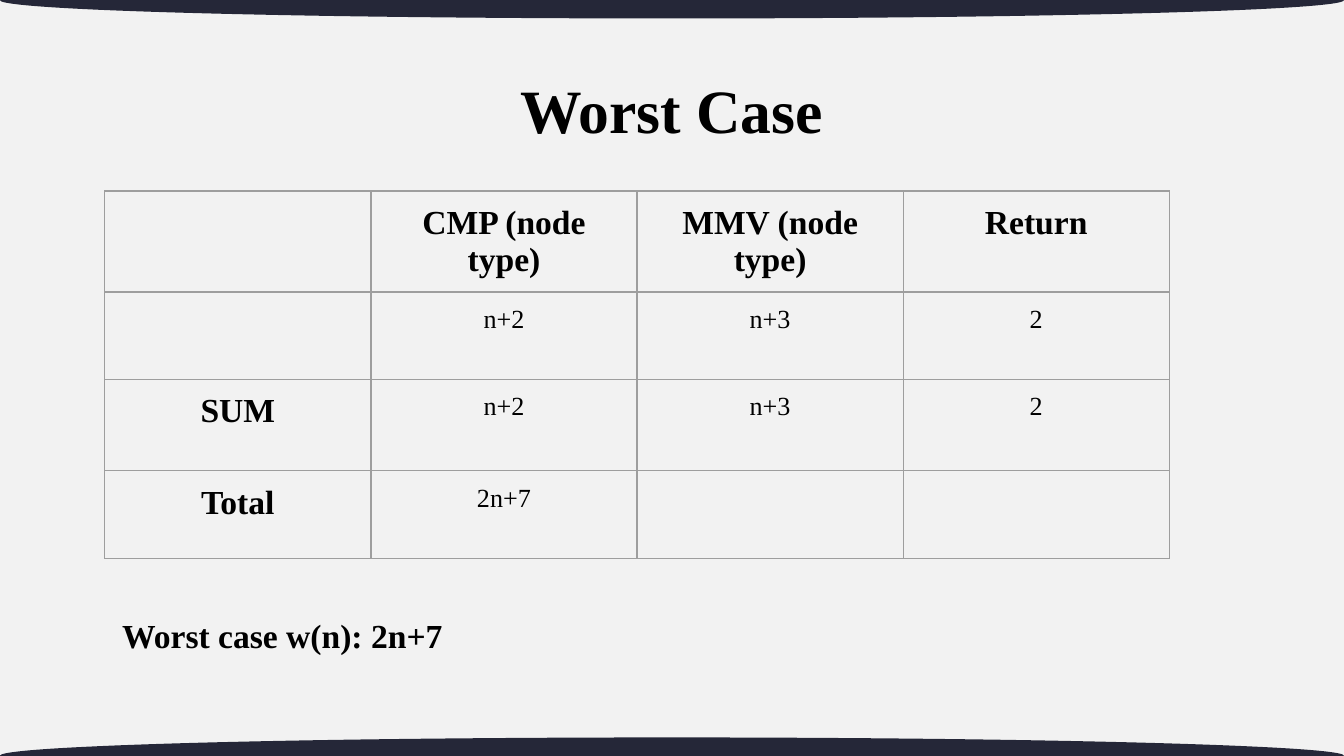
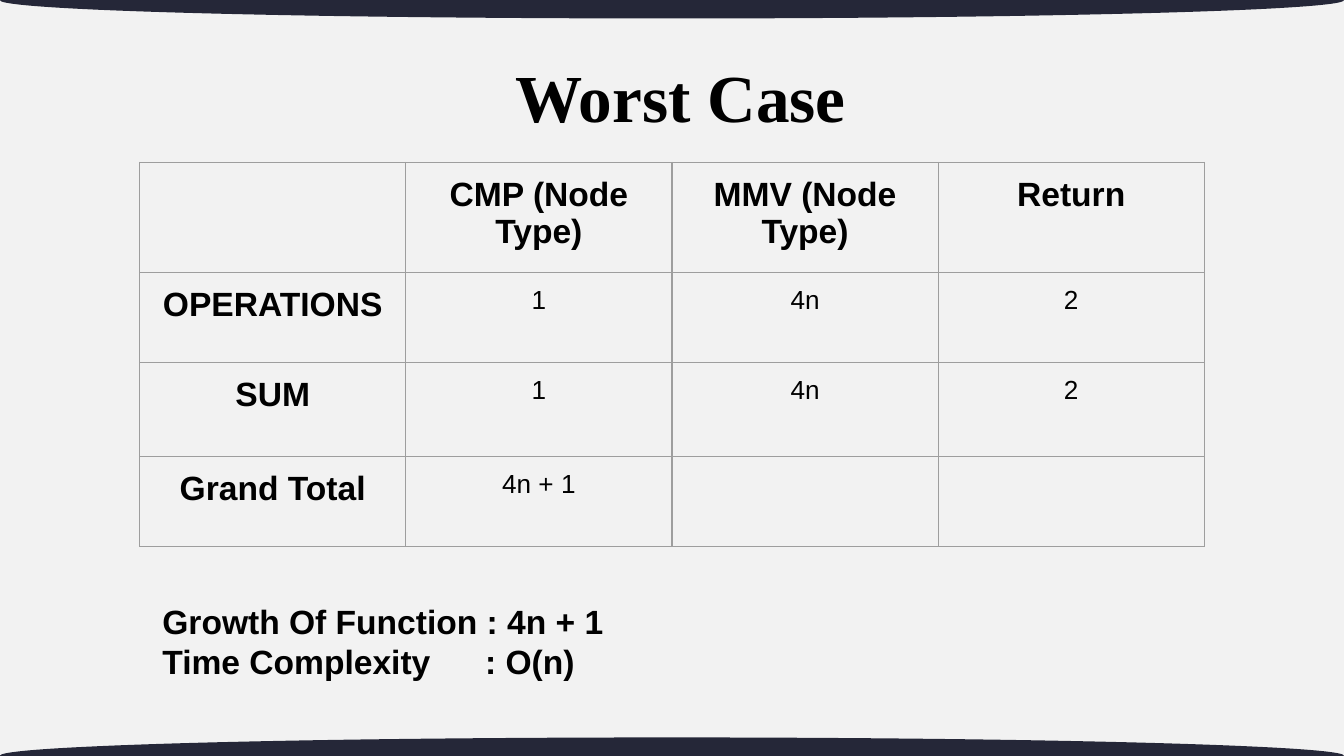
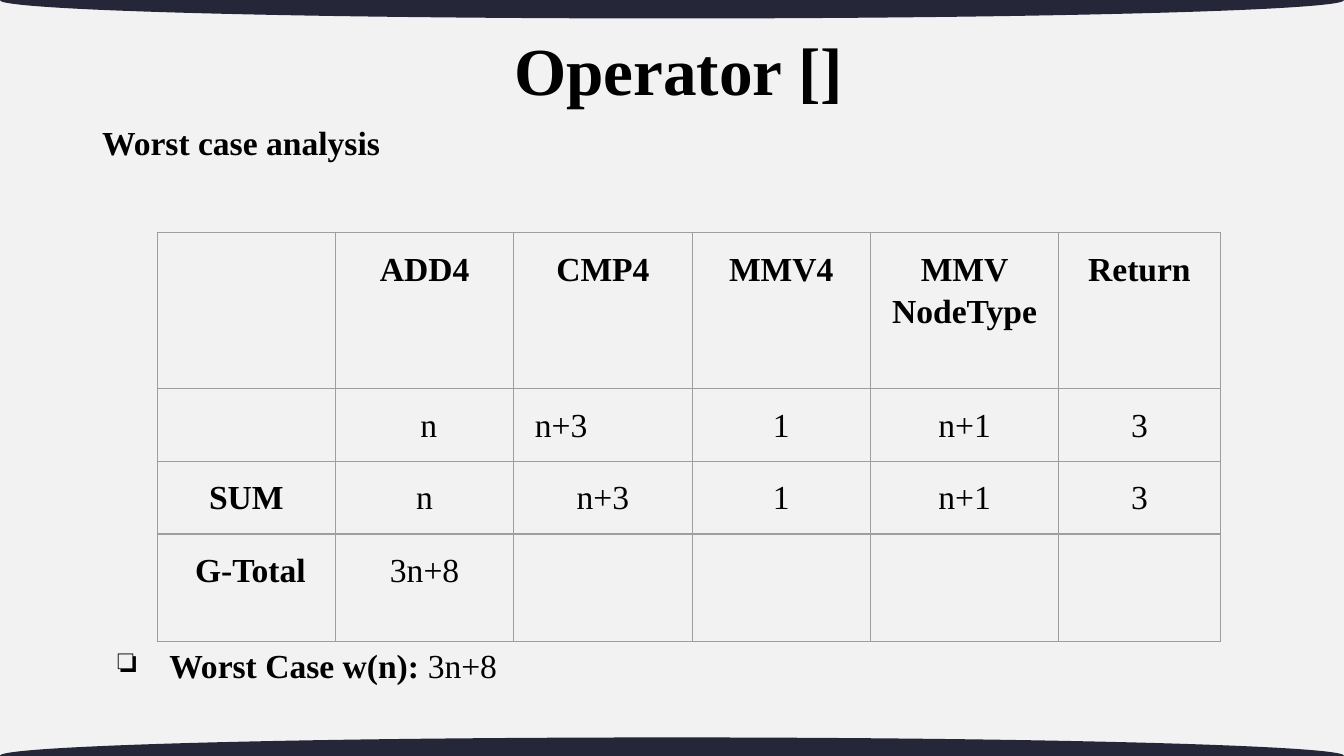
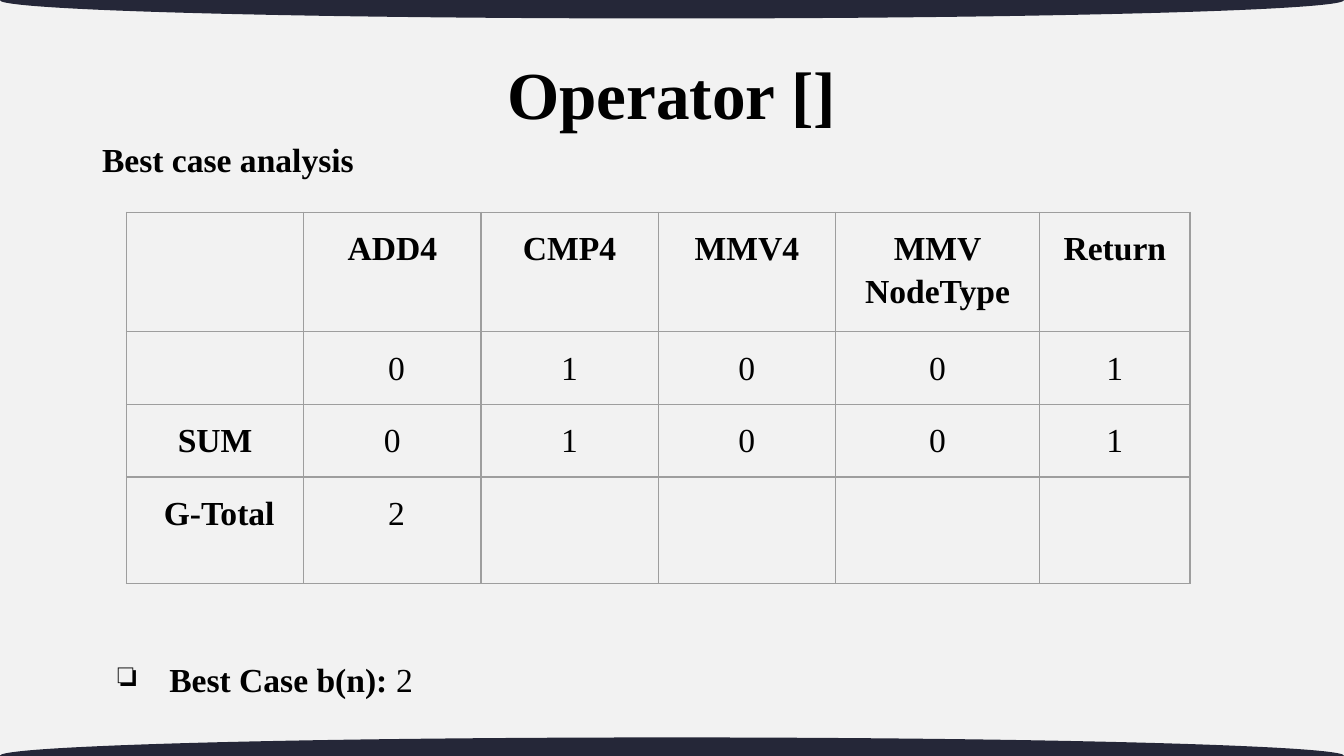
from lxml import etree
from pptx import Presentation
from pptx.dml.color import RGBColor
from pptx.enum.shapes import MSO_SHAPE
from pptx.enum.text import MSO_ANCHOR, MSO_AUTO_SIZE, PP_ALIGN
from pptx.oxml.ns import qn
from pptx.util import Cm, Pt

WIDTH, HEIGHT = 25.4, 14.29
SERIF, SANS = "Times New Roman", "Arial"
PAPER, NAVY, INK, GRID = "F2F2F2", "252738", "000000", "9E9E9E"


def color(code):
    return RGBColor.from_string(code)


def style(para, size, bold=True, font=SERIF, align=PP_ALIGN.LEFT, space=1.0):
    para.alignment = align
    para.line_spacing = space
    for run in para.runs:
        run.font.name = font
        run.font.size = Pt(size)
        run.font.bold = bold
        run.font.color.rgb = color(INK)


def inset(frame, gap):
    frame.margin_left = frame.margin_right = Cm(gap)
    frame.margin_top = frame.margin_bottom = Cm(gap)


def border(cell):
    props = cell._tc.get_or_add_tcPr()
    for index, side in enumerate(("lnL", "lnR", "lnT", "lnB")):
        line = etree.Element(qn(f"a:{side}"), w=str(Pt(0.75)))
        fill = etree.SubElement(line, qn("a:solidFill"))
        etree.SubElement(fill, qn("a:srgbClr"), val=GRID)
        props.insert(index, line)


class Deck:
    def __init__(self):
        self.show = Presentation()
        self.show.slide_width = Cm(WIDTH)
        self.show.slide_height = Cm(HEIGHT)
        fill = self.show.slide_master.background.fill
        fill.solid()
        fill.fore_color.rgb = color(PAPER)

    def start(self, title, box, size=36):
        """Add a slide with its bands and title."""
        self.slide = self.show.slides.add_slide(self.show.slide_layouts[5])
        for top in (-0.34, 13.94):
            self.band(top)
        head = self.slide.shapes.title
        head.left, head.top, head.width, head.height = map(Cm, box)
        frame = head.text_frame
        frame.text = title
        frame.auto_size = MSO_AUTO_SIZE.NONE
        frame.vertical_anchor = MSO_ANCHOR.MIDDLE
        inset(frame, 0.18)
        style(frame.paragraphs[0], size, align=PP_ALIGN.CENTER, space=0.9)

    def band(self, top):
        oval = self.slide.shapes.add_shape(
            MSO_SHAPE.OVAL, 0, Cm(top), Cm(WIDTH), Cm(0.69))
        oval.shadow.inherit = False
        oval.fill.solid()
        oval.fill.fore_color.rgb = color(NAVY)
        oval.line.fill.background()

    def text(self, words, box, gap=0.25, font=SERIF, space=1.0):
        frame = self.slide.shapes.add_textbox(*map(Cm, box)).text_frame
        frame.word_wrap = True
        inset(frame, gap)
        frame.text = words
        for para in frame.paragraphs:
            style(para, 18, font=font, space=space)
        return frame

    def heading(self, words, top):
        self.text(words, (1.75, top, 21.89, 1.1), gap=0.18, space=0.9)

    def bullet(self, label, value, top):
        """Add a boxed bullet with a bold label and a plain value."""
        frame = self.text(label, (1.75, top, 21.89, 1.1), gap=0.18)
        para = frame.paragraphs[0]
        para.add_run().text = value
        style(para, 18)
        para.runs[1].font.bold = False
        props = para._p.get_or_add_pPr()
        props.set("marL", str(Cm(1.27)))
        props.set("indent", str(Cm(-0.97)))
        tint = etree.SubElement(props, qn("a:buClr"))
        etree.SubElement(tint, qn("a:srgbClr"), val=INK)
        etree.SubElement(props, qn("a:buChar"), char="❏")

    def table(self, left, top, cols, rows, cells, size=18, font=SERIF, space=1.0):
        """Add a grid whose first row and column are bold."""
        grid = self.slide.shapes.add_table(
            len(rows), len(cols), Cm(left), Cm(top),
            Cm(sum(cols)), Cm(sum(rows))).table
        grid.first_row = grid.horz_banding = False
        for col, width in zip(grid.columns, cols):
            col.width = Cm(width)
        for row, height in zip(grid.rows, rows):
            row.height = Cm(height)
        for y, line in enumerate(cells):
            for x, words in enumerate(line):
                cell = grid.cell(y, x)
                cell.fill.background()
                border(cell)
                inset(cell, 0.25)
                cell.text = words
                bold = y == 0 or x == 0
                for para in cell.text_frame.paragraphs:
                    style(para, 18 if bold else size, bold, font,
                          PP_ALIGN.CENTER, space)
        return grid


def node(deck):
    deck.start("Worst Case", (1.75, 0.76, 21.89, 2.77), size=33)
    deck.table(1.98, 3.61, [5.03] * 4, [1.91, 1.65, 1.73, 1.65], [
        ["", "CMP (node type)", "MMV (node type)", "Return"],
        ["", "n+2", "n+3", "2"],
        ["SUM", "n+2", "n+3", "2"],
        ["Total", "2n+7", "", ""],
    ], size=14)
    deck.text("Worst case w(n): 2n+7", (2.06, 11.38, 20.12, 1.32))


def growth(deck):
    deck.start("Worst Case", (2.16, 0.91, 21.41, 1.98))
    deck.table(2.64, 3.07, [5.03] * 4, [2.08, 1.7, 1.78, 1.7], [
        ["", "CMP (Node Type)", "MMV (Node Type)", "Return"],
        ["OPERATIONS", "1", "4n", "2"],
        ["SUM", "1", "4n", "2"],
        ["Grand Total", "4n + 1", "", ""],
    ], size=14, font=SANS)
    note = deck.text("Growth Of Function : 4n + 1\nTime Complexity\t: O(n)",
                     (2.82, 11.1, 20.12, 2.26), font=SANS)
    props = note.paragraphs[1]._p.get_or_add_pPr()
    tabs = etree.SubElement(props, qn("a:tabLst"))
    etree.SubElement(tabs, qn("a:tab"), pos=str(Cm(6.1)), algn="l")


HEADS = ["", "ADD4", "CMP4", "MMV4", "MMV\nNodeType", "Return"]


def worst(deck):
    deck.start("Operator []", (1.88, 0, 21.89, 2.77))
    deck.heading("Worst case analysis", 2.21)
    grid = deck.table(2.97, 4.39, [3.37] * 4 + [3.56, 3.05],
                      [2.95, 1.32, 1.32, 2.03], [
        HEADS,
        ["", " n", "n+3", "1", "n+1", "3"],
        ["SUM", "n", "n+3", "1", "n+1", "3"],
        [" G-Total", "3n+8", "", "", "", ""],
    ], space=1.15)
    shift = grid.cell(1, 2)
    shift.margin_left = Cm(0.4)
    shift.text_frame.paragraphs[0].alignment = PP_ALIGN.LEFT
    deck.bullet("Worst Case w(n): ", "3n+8", 12.01)


def best(deck):
    deck.start("Operator []", (1.75, 0.46, 21.89, 2.77))
    deck.heading("Best case analysis", 2.54)
    deck.table(2.39, 4.01, [3.35] * 4 + [3.86, 2.84],
               [2.13, 1.32, 1.32, 2.01], [
        HEADS,
        ["", " 0", "1", "0", "0", "1"],
        ["SUM", "0", "1", "0", "0", "1"],
        [" G-Total", " 2", "", "", "", ""],
    ], space=1.15)
    deck.bullet("Best Case b(n): ", "2", 12.27)


def main():
    deck = Deck()
    for build in (node, growth, worst, best):
        build(deck)
    deck.show.save("out.pptx")


if __name__ == "__main__":
    main()
